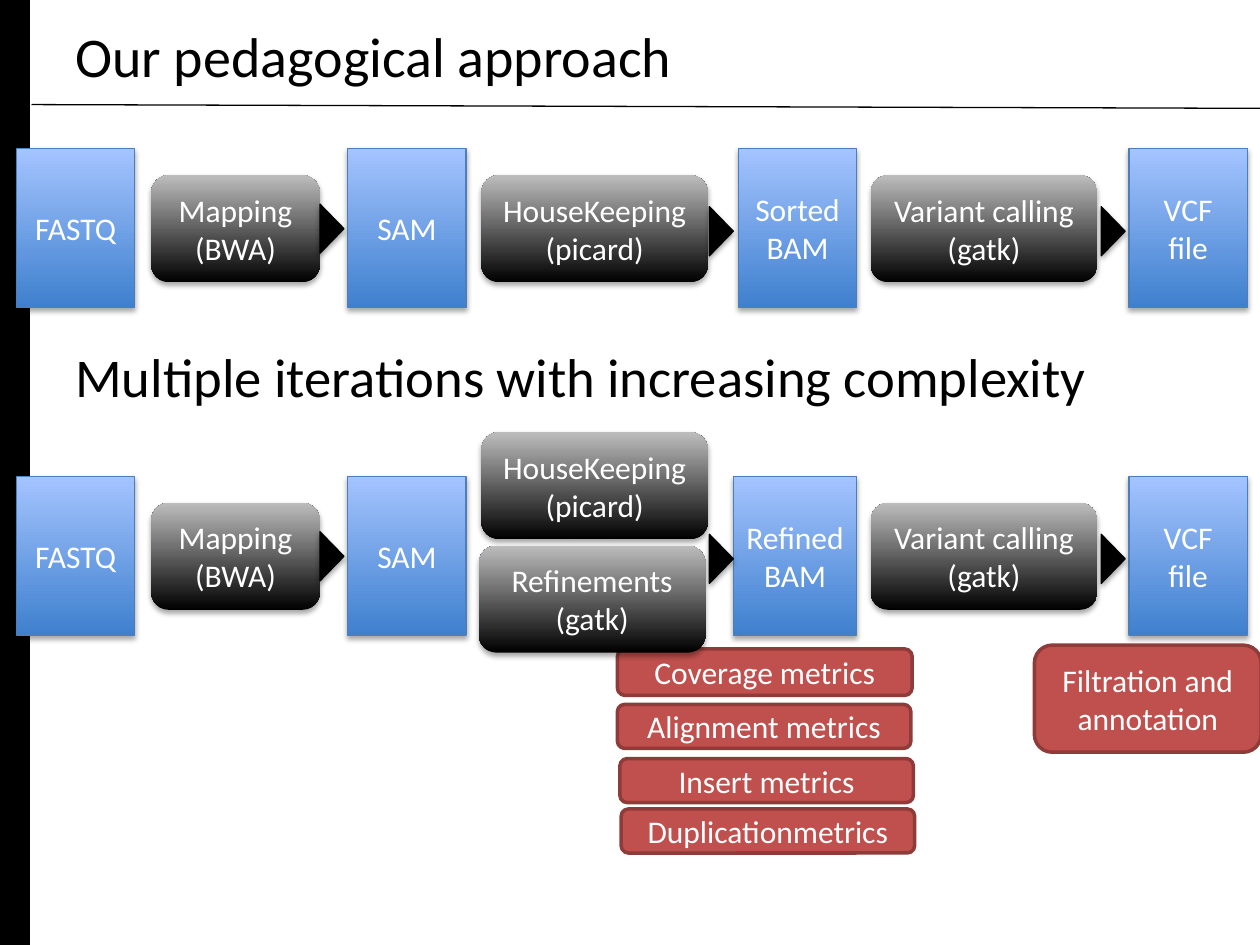
from lxml.etree import SubElement
from pptx import Presentation
from pptx.dml.color import RGBColor
from pptx.enum.shapes import MSO_CONNECTOR, MSO_SHAPE
from pptx.enum.text import MSO_ANCHOR, PP_ALIGN
from pptx.oxml.ns import qn
from pptx.util import Inches, Pt

# The slide is a grid of 100 columns by 75 rows
CELL = Inches(0.1)
COLORS = {
    "ink": "000000", "paper": "FFFFFF",
    "file_low": "3F80CE", "file_high": "A4C4FF", "file_edge": "4B7EBC",
    "tool_low": "000000", "tool_high": "BDBDBD",
    "topic": "C0504D", "topic_edge": "8E3B39",
}
FILE_W, FILE_H = 9.4, 12.6
TOOL_W, TOOL_H = 18, 8.5
TOOL_DROP = 2.1  # rows from the top of a file to the top of a tool


def rgb(name):
    return RGBColor.from_string(COLORS[name])


def grid(*cells):
    return [round(cell * CELL) for cell in cells]


def write(shape, text, size, color, align):
    frame = shape.text_frame
    frame.word_wrap = True
    frame.vertical_anchor = MSO_ANCHOR.MIDDLE
    frame.text = text
    paragraph = frame.paragraphs[0]
    paragraph.alignment = align
    for run in paragraph.runs:
        run.font.name = "Calibri"
        run.font.size = Pt(size)
        run.font.color.rgb = rgb(color)


def add_heading(slide, top, text, size):
    heading = slide.shapes.add_textbox(*grid(5, top, 90, 8))
    write(heading, text, size, "ink", PP_ALIGN.LEFT)


def add_block(slide, kind, cells, fill, edge=None, edge_width=0.75, text=""):
    """Add a preset shape; a pair of fill colours runs from bottom to top."""
    block = slide.shapes.add_shape(kind, *grid(*cells))
    block.shadow.inherit = False
    if isinstance(fill, tuple):
        block.fill.gradient()
        block.fill.gradient_angle = 90
        for stop, color, position in zip(block.fill.gradient_stops, fill, (0, 1)):
            stop.color.rgb = rgb(color)
            stop.position = position
    else:
        block.fill.solid()
        block.fill.fore_color.rgb = rgb(fill)
    if edge:
        block.line.color.rgb = rgb(edge)
        block.line.width = Pt(edge_width)
    else:
        block.line.fill.background()
    if text:
        write(block, text, 18, "paper", PP_ALIGN.CENTER)
    return block


def cast_shadow(block):
    effects = block._element.spPr.find(qn("a:effectLst"))
    shadow = SubElement(effects, qn("a:outerShdw"), blurRad=str(Pt(3.1)),
                        dist=str(Pt(1.8)), dir="5400000", rotWithShape="0")
    color = SubElement(shadow, qn("a:srgbClr"), val=COLORS["ink"])
    SubElement(color, qn("a:alpha"), val="35000")


def add_file(slide, left, top, text, width=FILE_W):
    cast_shadow(add_block(slide, MSO_SHAPE.RECTANGLE, (left, top, width, FILE_H),
                          ("file_low", "file_high"), "file_edge", text=text))


def add_tool(slide, left, top, text, width=TOOL_W):
    cast_shadow(add_block(slide, MSO_SHAPE.ROUNDED_RECTANGLE,
                          (left, top, width, TOOL_H),
                          ("tool_low", "tool_high"), text=text))


def add_pointer(slide, left, top):
    pointer = add_block(slide, MSO_SHAPE.ISOSCELES_TRIANGLE,
                        (left, top, 3.9, 1.9), "ink", "ink")
    pointer.rotation = 90
    cast_shadow(pointer)


def add_topic(slide, left, top, width, height, text):
    add_block(slide, MSO_SHAPE.ROUNDED_RECTANGLE, (left, top, width, height),
              "topic", "topic_edge", 2, text)


def add_pipeline(slide, top, bam, bam_left, bam_width, housekeeping_top):
    tool_top = top + TOOL_DROP
    add_file(slide, 1.3, top, "FASTQ")
    add_tool(slide, 12, tool_top, "Mapping\v(BWA)", 13.4)
    add_file(slide, 27.6, top, "SAM")
    add_tool(slide, 38.2, housekeeping_top, "HouseKeeping\v(picard)")
    add_tool(slide, 69.1, tool_top, "Variant calling\v(gatk)")
    add_file(slide, bam_left, top, bam, bam_width)
    add_file(slide, 89.6, top, "VCF file")
    for left, drop in ((24.4, 5.4), (55.3, 5.6), (86.4, 5.6)):
        add_pointer(slide, left, top + drop)


def add_frame(slide):
    add_block(slide, MSO_SHAPE.RECTANGLE, (-0.1, 0, 2.4, 75), "ink", "ink")
    rule = slide.shapes.add_connector(MSO_CONNECTOR.STRAIGHT,
                                      *grid(2.5, 8.3, 100.1, 8.6))
    rule.line.color.rgb = rgb("ink")
    rule.line.width = Pt(0.75)
    SubElement(rule._element.spPr, qn("a:effectLst"))


def main():
    deck = Presentation()
    deck.slide_width, deck.slide_height = grid(100, 75)
    slide = deck.slides.add_slide(deck.slide_layouts[6])

    # Side band and rule under the title
    add_frame(slide)

    # Basic pipeline
    add_heading(slide, 0.4, "Our pedagogical approach", 32)
    add_pipeline(slide, 11.8, "Sorted BAM", 58.6, FILE_W, 13.9)

    # Extended pipeline
    add_heading(slide, 25.8, "Multiple iterations with increasing complexity", 31.2)
    add_pipeline(slide, 37.8, "Refined BAM", 58.2, 9.8, 34.3)

    # Topics added in later iterations
    add_topic(slide, 49, 51.5, 23.4, 3.7, "Coverage metrics")
    add_topic(slide, 82.1, 51.2, TOOL_W, TOOL_H, "Filtration and annotation")
    for left, top, metric in ((49, 55.9, "Alignment metrics"),
                              (49.2, 60.2, "Insert metrics"),
                              (49.3, 64.2, "Duplicationmetrics")):
        add_topic(slide, left, top, 23.3, 3.5, metric)

    # Refinement step, in front of the metrics
    add_tool(slide, 38, 43.3, "Refinements\v(gatk)")

    deck.save("out.pptx")


if __name__ == "__main__":
    main()
